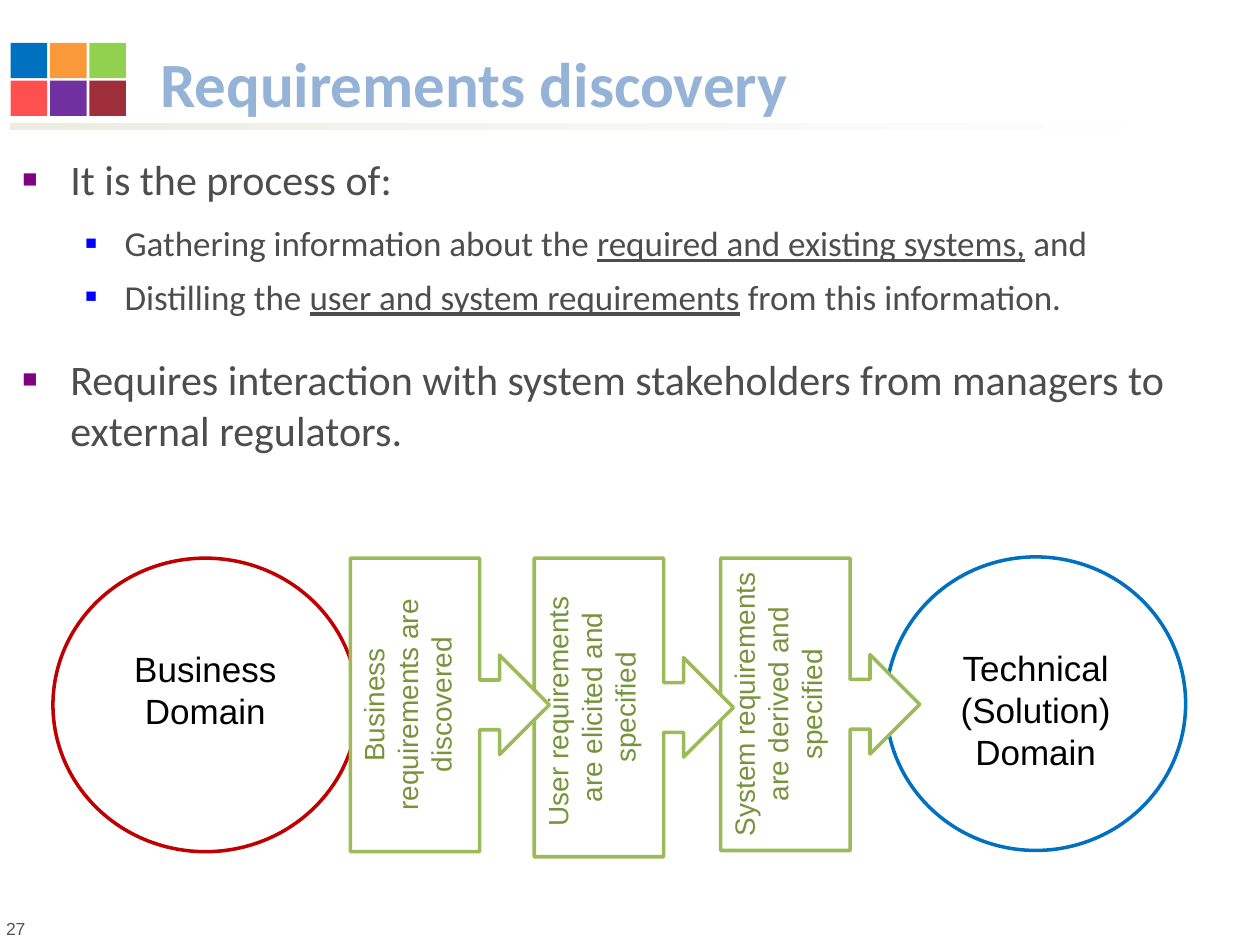
from dataclasses import dataclass
from itertools import product

from lxml.etree import SubElement
from pptx import Presentation
from pptx.dml.color import RGBColor
from pptx.enum.shapes import MSO_SHAPE as Shape
from pptx.enum.text import MSO_ANCHOR as Anchor, MSO_AUTO_SIZE as AutoSize, PP_ALIGN as Align
from pptx.oxml.ns import qn
from pptx.util import Inches, Pt

COLUMNS, ROWS = 100, 75
WIDTH, HEIGHT = Inches(10), Inches(7.5)
WHITE = RGBColor(0xFF, 0xFF, 0xFF)
BLACK = RGBColor(0x00, 0x00, 0x00)
IVORY = RGBColor(0xEE, 0xEC, 0xE1)
TITLE_BLUE = RGBColor(0x95, 0xB3, 0xD7)
BODY_GREY = RGBColor(0x4D, 0x4D, 0x4D)
NUMBER_GREY = RGBColor(0x55, 0x55, 0x55)
BLUE = RGBColor(0x00, 0x70, 0xC0)
ORANGE = RGBColor(0xF9, 0x99, 0x39)
LIME = RGBColor(0x92, 0xD0, 0x50)
CORAL = RGBColor(0xFF, 0x50, 0x50)
VIOLET = RGBColor(0x70, 0x30, 0xA0)
MAROON = RGBColor(0x9E, 0x2E, 0x39)
RED = RGBColor(0xC0, 0x00, 0x00)
GREEN = RGBColor(0x9B, 0xBB, 0x59)
DARK_GREEN = RGBColor(0x77, 0x93, 0x3C)
TILE_COLOURS = (BLUE, ORANGE, LIME, CORAL, VIOLET, MAROON)


@dataclass(frozen=True)
class Area:
    column: float
    row: float
    columns: float
    rows: float

    def values(self) -> dict:
        across, down = WIDTH / COLUMNS, HEIGHT / ROWS
        return {
            "left": round(self.column * across),
            "top": round(self.row * down),
            "width": round(self.columns * across),
            "height": round(self.rows * down),
        }


@dataclass(frozen=True)
class Level:
    size: float
    margin: float
    hanging: float
    bullet_colour: str
    bullet_percent: int


@dataclass(frozen=True)
class Point:
    level: Level
    before: float
    after: float
    spans: tuple


@dataclass(frozen=True)
class Stage:
    kind: Shape
    area: Area
    text: str
    line: RGBColor
    ink: RGBColor
    size: float
    top_inset: float = 0.05
    direction: str = "horz"


def domain(area: Area, text: str, line: RGBColor) -> Stage:
    return Stage(Shape.OVAL, area, text, line, BLACK, 20, top_inset=0.37)


def step(column: float, rows: float, text: str) -> Stage:
    area = Area(column, 44.3, 15.8, rows)
    return Stage(Shape.RIGHT_ARROW_CALLOUT, area, text, GREEN, DARK_GREEN, 16, direction="vert270")


MAIN = Level(24, 0.38, 0.38, "800080", 60)
SUB = Level(20, 0.81, 0.31, "0000FF", 55)
POINTS = (
    Point(MAIN, 0, 6.5, (("It is the process of:", False),)),
    Point(SUB, 3.7, 2.8, (
        ("Gathering information about the ", False),
        ("required and existing systems,", True),
        (" and", False),
    )),
    Point(SUB, 3.7, 2.8, (
        ("Distilling the ", False),
        ("user and system requirements", True),
        (" from this information.", False),
    )),
    Point(MAIN, 18, 0, ((
        "Requires interaction with system stakeholders from managers to external regulators.",
        False,
    ),)),
)
STAGES = (
    domain(Area(70.3, 44.2, 23.8, 23.3), "Technical (Solution) Domain", BLUE),
    step(57.2, 23.2, "System requirements are derived and specified"),
    step(42.4, 23.7, "User requirements  are elicited and specified"),
    domain(Area(4.2, 44.3, 24.2, 23.3), "Business Domain", RED),
    step(27.8, 23.3, "Business requirements are discovered"),
)


def apply(target, values: dict) -> None:
    for name, value in values.items():
        setattr(target, name, value)


def write(para, text: str, face: str, size: float, ink: RGBColor, **extra) -> None:
    span = para.add_run()
    span.text = text
    apply(span.font, {"name": face, "size": Pt(size), **extra})
    span.font.color.rgb = ink


def add_block(page, kind: Shape, area: Area):
    block = page.shapes.add_shape(kind, **area.values())
    block.shadow.inherit = False
    block.line.fill.background()
    return block


def add_tiles(page) -> None:
    for (row, column), colour in zip(product(range(2), range(3)), TILE_COLOURS):
        tile = add_block(page, Shape.RECTANGLE, Area(0.85 + 3.12 * column, 3.4 + 3 * row, 2.9, 2.8))
        tile.fill.solid()
        tile.fill.fore_color.rgb = colour


def add_rule(page) -> None:
    fill = add_block(page, Shape.RECTANGLE, Area(0.8, 9.8, 94.8, 0.5)).fill
    fill.gradient()
    fill.gradient_angle = 0
    for stop, colour in zip(fill.gradient_stops, (IVORY, WHITE)):
        stop.color.rgb = colour


def set_title(page, text: str) -> None:
    title = page.shapes.title
    apply(title, Area(11.7, 3.2, 86.7, 6.8).values())
    apply(title.text_frame, {
        "vertical_anchor": Anchor.BOTTOM, "word_wrap": True, "auto_size": AutoSize.NONE,
    })
    para = title.text_frame.paragraphs[0]
    para.alignment = Align.LEFT
    write(para, text, "Calibri", 36, TITLE_BLUE, bold=True)


def add_bullet(para, level: Level) -> None:
    props = para._p.get_or_add_pPr()
    props.set("marL", str(Inches(level.margin)))
    props.set("indent", str(-Inches(level.hanging)))
    colour = SubElement(props, qn("a:buClr"))
    SubElement(colour, qn("a:srgbClr"), val=level.bullet_colour)
    SubElement(props, qn("a:buSzPct"), val=str(level.bullet_percent * 1000))
    SubElement(props, qn("a:buFont"), typeface="Arial")
    SubElement(props, qn("a:buChar"), char="■")


def add_points(page) -> None:
    frame = page.shapes.add_textbox(**Area(0.8, 11.7, 99.2, 27.5).values()).text_frame
    frame.word_wrap = True
    for index, point in enumerate(POINTS):
        para = frame.add_paragraph() if index else frame.paragraphs[0]
        apply(para, {"space_before": Pt(point.before), "space_after": Pt(point.after)})
        add_bullet(para, point.level)
        for text, underlined in point.spans:
            write(para, text, "Calibri", point.level.size, BODY_GREY, underline=underlined)


def add_stage(page, stage: Stage) -> None:
    block = add_block(page, stage.kind, stage.area)
    block.fill.solid()
    block.fill.fore_color.rgb = WHITE
    block.line.color.rgb = stage.line
    block.line.width = Pt(2)
    frame = block.text_frame
    apply(frame, {
        "word_wrap": True, "vertical_anchor": Anchor.TOP, "margin_top": Inches(stage.top_inset),
    })
    frame._txBody.bodyPr.set("vert", stage.direction)
    para = frame.paragraphs[0]
    para.alignment = Align.CENTER
    write(para, stage.text, "Arial", stage.size, stage.ink)


def add_number(page, text: str) -> None:
    box = page.shapes.add_textbox(**Area(-0.5, 72.4, 58, 2.7).values())
    box.text_frame.word_wrap = True
    write(box.text_frame.paragraphs[0], text, "Arial", 10, NUMBER_GREY)


def main() -> None:
    deck = Presentation()
    apply(deck, {"slide_width": WIDTH, "slide_height": HEIGHT})
    page = deck.slides.add_slide(deck.slide_layouts[5])
    add_rule(page)
    add_number(page, "27")
    add_tiles(page)
    set_title(page, "Requirements discovery")
    add_points(page)
    for stage in STAGES:
        add_stage(page, stage)
    deck.save("out.pptx")


if __name__ == "__main__":
    main()
